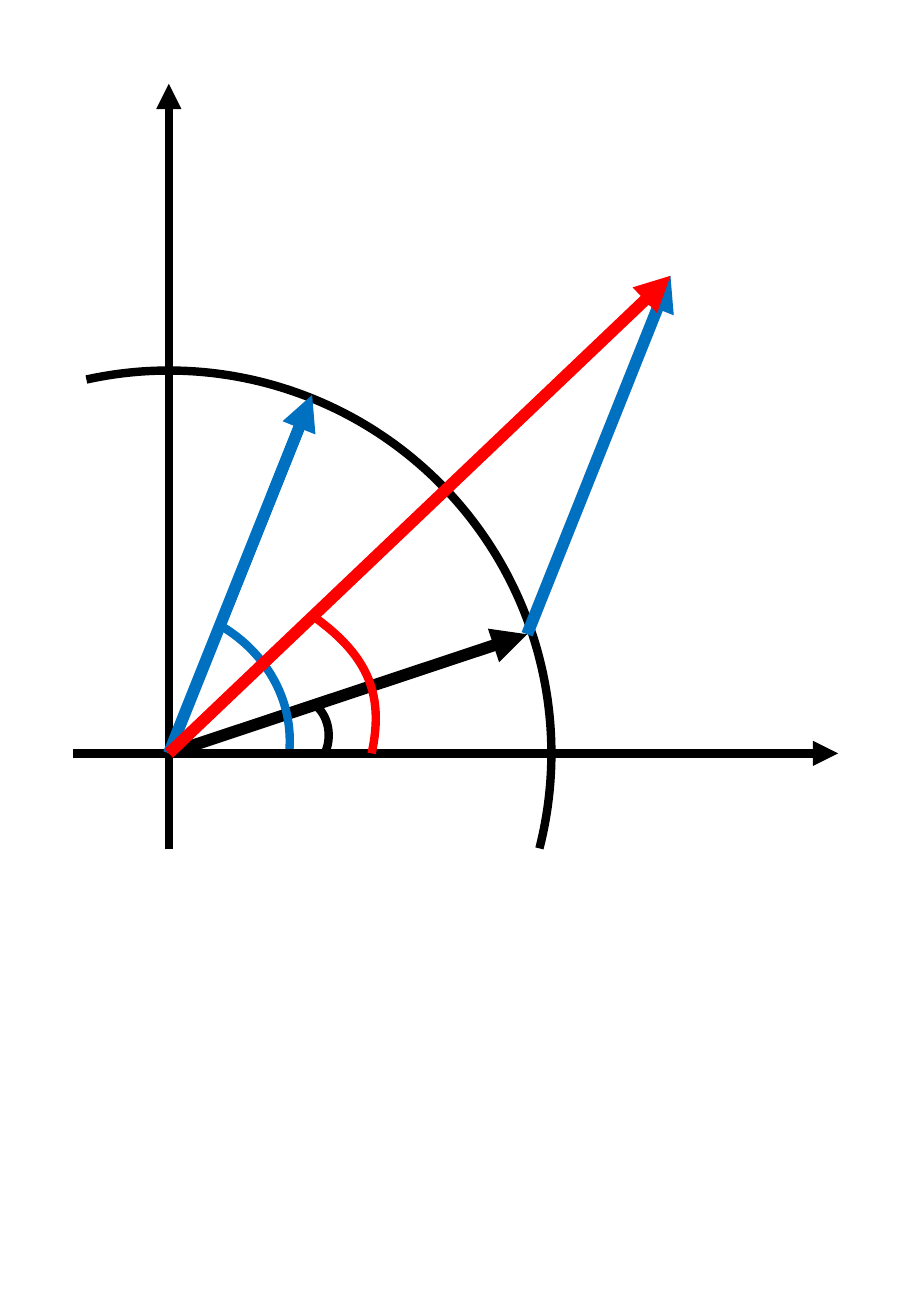
from dataclasses import dataclass

from lxml import etree
from pptx import Presentation
from pptx.dml.color import RGBColor
from pptx.enum.shapes import MSO_CONNECTOR, MSO_SHAPE
from pptx.oxml.ns import qn
from pptx.util import Inches, Pt

STRAIGHT = MSO_CONNECTOR.STRAIGHT
ARC = MSO_SHAPE.ARC


@dataclass
class Theme:
    black: str = "000000"
    blue: str = "0070C0"
    red: str = "FF0000"
    thin: float = 5
    thick: float = 7


class VectorSlide:
    def __init__(self, slide, theme):
        self.slide = slide
        self.theme = theme

    def stroke(self, shape, color, width):
        shape.line.color.rgb = RGBColor.from_string(color)
        shape.line.width = Pt(width)

    def outline(self, shape, color):
        shape.shadow.inherit = False
        shape.fill.background()
        self.stroke(shape, color, self.theme.thin)

    def arrow(self, start, end, color, width):
        s = self.slide.shapes.add_connector(
            STRAIGHT, *(Inches(v) for v in (*start, *end)))
        self.stroke(s, color, width)
        ln = s.line._get_or_add_ln()
        etree.SubElement(ln, qn("a:tailEnd"), type="triangle")
        etree.SubElement(s._element.spPr, qn("a:effectLst"))

    def arc(self, center, radius, angles, color):
        x, y = center
        s = self.slide.shapes.add_shape(
            ARC, Inches(x - radius), Inches(y - radius),
            Inches(2 * radius), Inches(2 * radius))
        for i, angle in enumerate(angles):
            s.adjustments[i] = angle * 0.6
        self.outline(s, color)

    def curve(self, points, color):
        start, *rest = [(Inches(x), Inches(y)) for x, y in points]
        builder = self.slide.shapes.build_freeform(*start)
        builder.add_line_segments(rest, close=False)
        s = builder.convert_to_shape()
        outline = s._element.find(".//" + qn("a:path"))
        bezier = etree.SubElement(outline, qn("a:cubicBezTo"))
        for segment in outline.findall(qn("a:lnTo")):
            bezier.append(segment[0])
            outline.remove(segment)
        self.outline(s, color)


def add(a, b):
    return a[0] + b[0], a[1] + b[1]


def main():
    prs = Presentation()
    prs.slide_width, prs.slide_height = Inches(7.5), Inches(10.83)
    t = Theme()
    s = VectorSlide(prs.slides.add_slide(prs.slide_layouts[6]), t)

    origin = (1.39, 6.2)
    radius = 3.15
    black_tip = add(origin, (2.95, -0.98))
    blue_vector = (1.18, -2.95)
    sum_tip = add(black_tip, blue_vector)

    s.arrow(origin, black_tip, t.black, t.thick)
    s.curve([(1.8, 5.14), (2.16, 5.34), (2.43, 5.74), (2.38, 6.21)], t.blue)
    for start, end in [((0.6, 6.2), (6.9, 6.2)), ((1.39, 6.99), (1.39, 0.69))]:
        s.arrow(start, end, t.black, t.thin)
    s.arc(origin, radius, (257.57, 14.38), t.black)
    for start in (origin, black_tip):
        s.arrow(start, add(start, blue_vector), t.blue, t.thick)
    s.arrow(origin, sum_tip, t.red, t.thick)
    s.curve([(2.58, 5.79), (2.71, 5.88), (2.74, 6.07), (2.67, 6.21)], t.black)
    s.curve([(2.59, 5.08), (3.05, 5.41), (3.16, 5.74), (3.06, 6.2)], t.red)

    prs.save("out.pptx")


if __name__ == "__main__":
    main()
